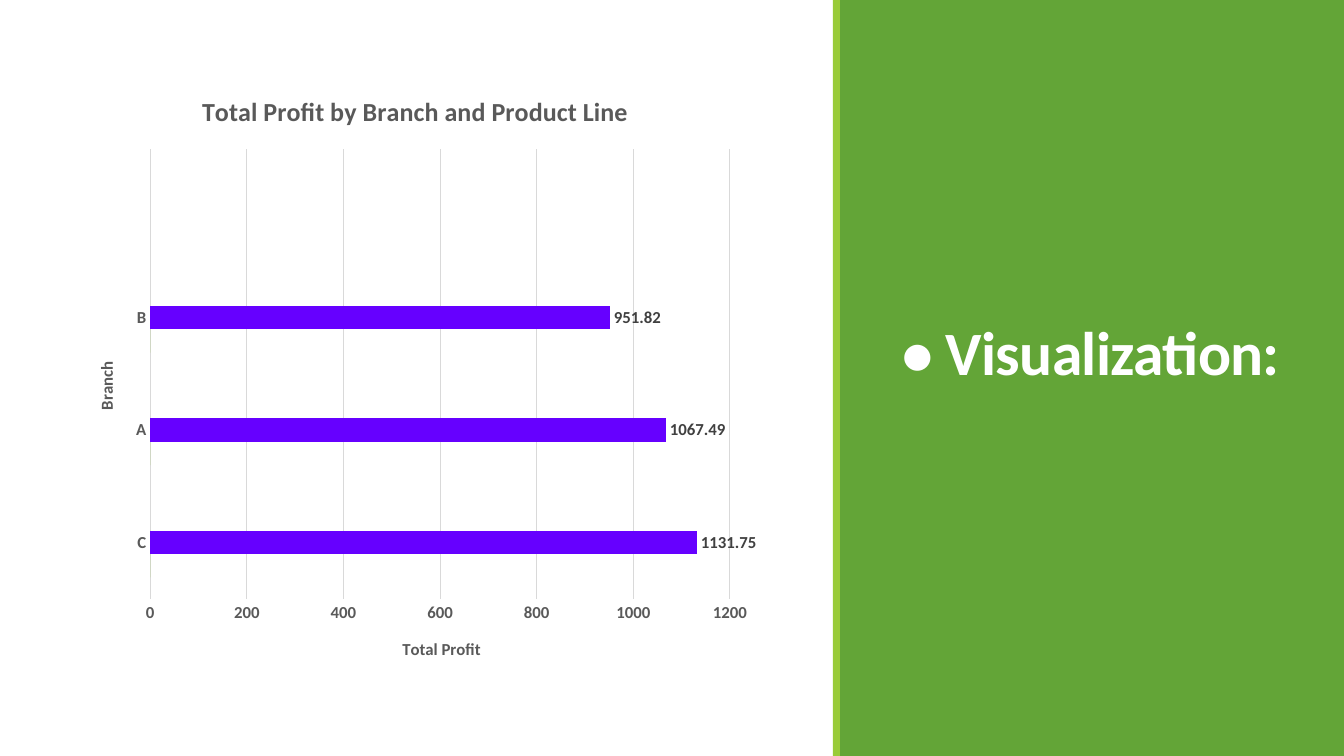
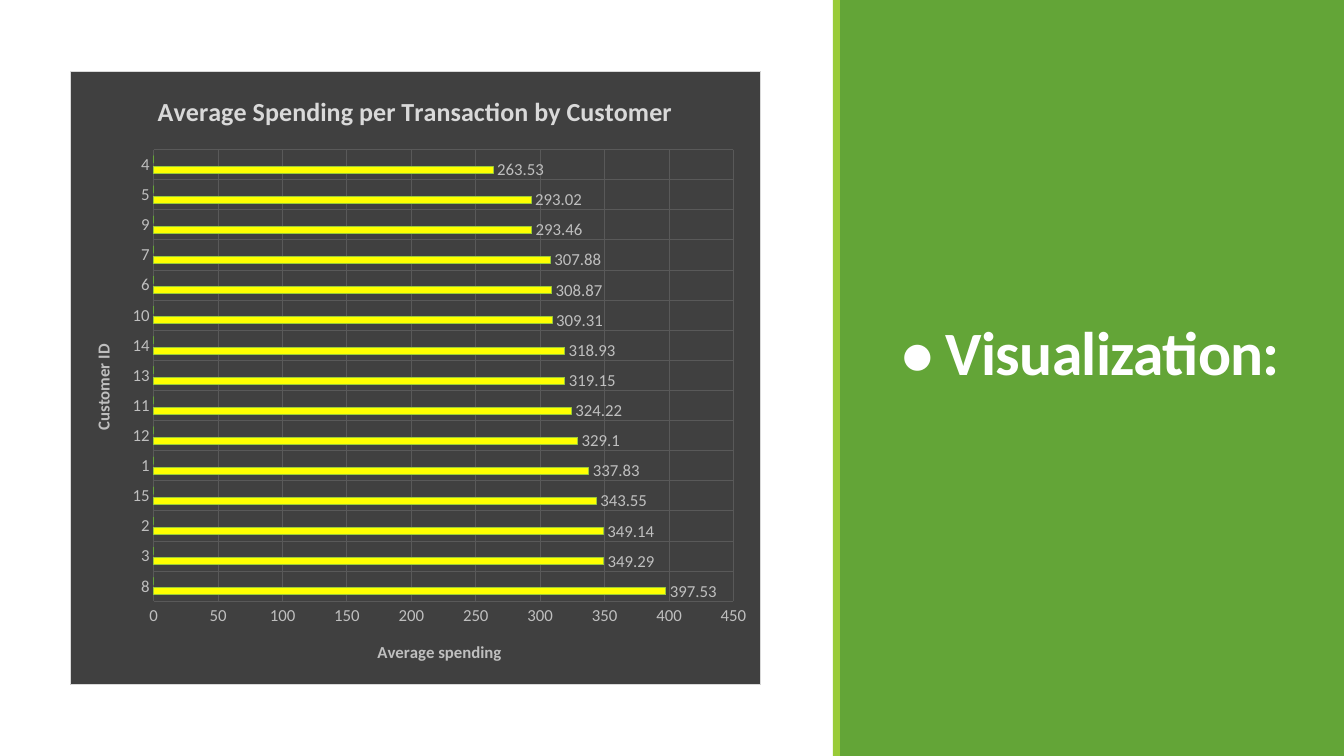
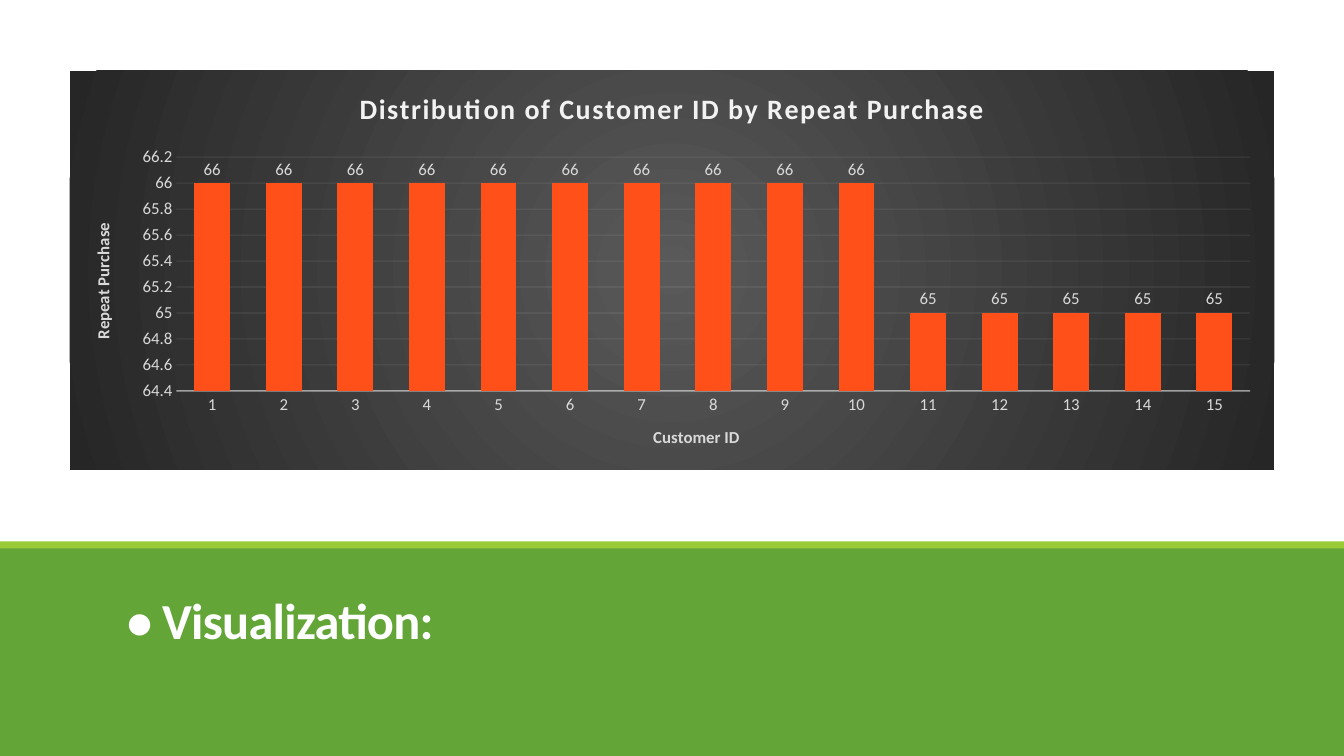
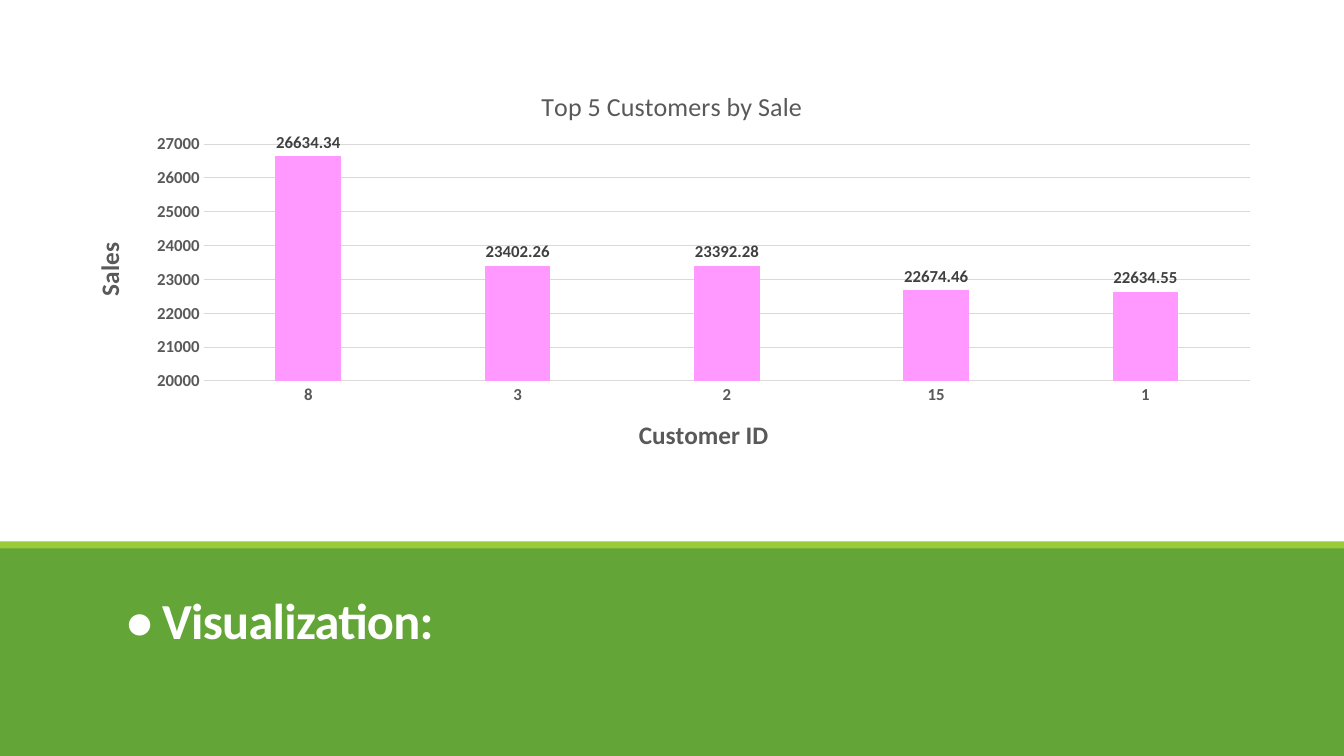
from dataclasses import dataclass

from lxml import etree
from pptx import Presentation
from pptx.chart.data import CategoryChartData
from pptx.dml.color import RGBColor
from pptx.enum import chart as chart_enum, shapes, text
from pptx.oxml import ns
from pptx.util import Inches, Pt


@dataclass(frozen=True)
class Theme:
    font: str = "Calibri"
    white: str = "FFFFFF"
    green: str = "63A537"
    lime: str = "99CB38"
    teal: str = "37A76F"
    violet: str = "6600FF"
    yellow: str = "FFFF00"
    orange: str = "FF5019"
    pink: str = "FF99FF"
    ink: str = "595959"
    dark_ink: str = "404040"
    pale: str = "D9D9D9"
    silver: str = "BFBFBF"
    mist: str = "F2F2F2"
    coal: str = "262626"
    chart_size: float = 10
    label_size: float = 12
    axis_title_size: float = 18
    chart_title_size: float = 18.6
    spaced_title_size: float = 20
    side_title_size: float = 44
    bottom_title_size: float = 36


THEME = Theme()


@dataclass(frozen=True)
class ChartLook:
    """Text and line style of one chart; colours are RRGGBB."""
    text: str = THEME.ink
    title: str = THEME.ink
    labels: str = THEME.dark_ink
    grid: str = THEME.pale
    grid_alpha: int = 100
    axis_line: str | None = THEME.pale
    axis_width: float = 0.75
    axis_alpha: int = 100
    category_grid: bool = False
    bold: bool = True
    title_bold: bool = True
    title_size: float = THEME.chart_title_size
    title_spacing: float = 0
    axis_title_size: float = THEME.label_size
    background: tuple = ()
    border: str | None = None


@dataclass(frozen=True)
class Arrangement:
    """Where panel, stripe, title and chart sit: left, top, width, height."""
    panel: tuple
    stripe: tuple
    title: tuple
    chart: tuple
    title_size: float


SIDE = Arrangement((8.33, 0, 5, 7.5), (8.26, 0, 0.07, 7.5), (8.85, 0.7, 4, 3.2),
                   (0.69, 0.7, 6.86, 6.1), THEME.side_title_size)
BOTTOM = Arrangement((0, 5.42, 13.33, 2.08), (0, 5.37, 13.33, 0.07), (1.16, 5.6, 11, 0.9),
                     (0.69, 0.7, 11.95, 3.96), THEME.bottom_title_size)


def rgb(colour):
    return RGBColor.from_string(colour)


def apply(target, **values):
    for name, value in values.items():
        setattr(target, name, value)


def child(parent, tag, **attributes):
    element = etree.SubElement(parent, ns.qn(tag))
    for name, value in attributes.items():
        element.set(name, str(value))
    return element


def colour_line(line, colour, width=0.75):
    if colour is None:
        line.fill.background()
    else:
        line.color.rgb = rgb(colour)
        line.width = Pt(width)


class Deck:
    def __init__(self, theme):
        self.theme = theme
        self.presentation = Presentation()
        apply(self.presentation, slide_width=Inches(13.33), slide_height=Inches(7.5))
        self.slide = None

    def style_font(self, font, size, colour, bold=False):
        apply(font, name=self.theme.font, size=Pt(size), bold=bold)
        font.color.rgb = rgb(colour)

    def start(self, arrangement, title):
        """Add a slide with its coloured panel, stripe and title."""
        self.slide = self.presentation.slides.add_slide(self.presentation.slide_layouts[5])
        self.band(arrangement.panel, self.theme.green)
        self.band(arrangement.stripe, self.theme.lime)
        self.title(arrangement.title, title, arrangement.title_size)

    def band(self, box, colour):
        shape = self.slide.shapes.add_shape(shapes.MSO_SHAPE.RECTANGLE, *map(Inches, box))
        shape.shadow.inherit = False
        shape.fill.solid()
        shape.fill.fore_color.rgb = rgb(colour)
        shape.line.fill.background()

    def title(self, box, words, size):
        shape = self.slide.shapes.title
        apply(shape, **dict(zip(("left", "top", "width", "height"), map(Inches, box))))
        # The title goes in front of the panel
        self.slide.shapes.element.append(shape.element)
        frame = shape.text_frame
        apply(frame, text=words, word_wrap=True, auto_size=text.MSO_AUTO_SIZE.NONE,
              vertical_anchor=text.MSO_ANCHOR.BOTTOM)
        paragraph = frame.paragraphs[0]
        apply(paragraph, alignment=text.PP_ALIGN.LEFT, line_spacing=0.85,
              space_before=Pt(0), space_after=Pt(6))
        self.style_font(paragraph.runs[0].font, size, self.theme.white, True)
        shape.element.find(".//" + ns.qn("a:rPr")).set("spc", "-50")

    def chart(self, kind, box, plot, title, axis_titles, scale, categories, series, look,
              gap, overlap=0):
        """Draw a bar chart; series holds (values, fill, line, labelled), scale (min, max, step)."""
        data = CategoryChartData()
        data.categories = categories
        for number, (values, *_) in enumerate(series, 1):
            data.add_series(f"Series {number}", values)
        chart = self.slide.shapes.add_chart(kind, *map(Inches, box), data).chart
        chart.has_legend = False
        self.style_font(chart.font, self.theme.chart_size, look.text)
        self.chart_title(chart, title, look)
        self.axes(chart, axis_titles, scale, look)
        bars = chart.plots[0]
        apply(bars, gap_width=gap, overlap=overlap, vary_by_categories=False)
        for drawn, (_, fill, line, labelled) in zip(bars.series, series):
            self.series(drawn, fill, line, labelled, look)
        self.place_plot(chart, box, plot)
        self.background(chart, look)

    def chart_title(self, chart, words, look):
        frame = chart.chart_title.text_frame
        frame.text = words
        self.style_font(frame.paragraphs[0].runs[0].font, look.title_size, look.title,
                        look.title_bold)
        chart.chart_title.include_in_layout = False
        if look.title_spacing:
            run = chart.element.find(".//" + ns.qn("a:r") + "/" + ns.qn("a:rPr"))
            run.set("spc", str(int(look.title_spacing * 100)))

    def axes(self, chart, titles, scale, look):
        minimum, maximum, step = scale
        apply(chart.value_axis, minimum_scale=minimum, maximum_scale=maximum, major_unit=step)
        category, value = chart.category_axis, chart.value_axis
        settings = ((category, look.axis_line, look.category_grid), (value, None, True))
        for (axis, line, grid), words in zip(settings, titles):
            apply(axis, has_major_gridlines=grid, has_title=True,
                  major_tick_mark=chart_enum.XL_TICK_MARK.NONE,
                  minor_tick_mark=chart_enum.XL_TICK_MARK.NONE)
            self.style_font(axis.tick_labels.font, self.theme.label_size, look.text, look.bold)
            colour_line(axis.format.line, line, look.axis_width)
            if grid:
                colour_line(axis.major_gridlines.format.line, look.grid)
            frame = axis.axis_title.text_frame
            frame.text = words
            self.style_font(frame.paragraphs[0].runs[0].font, look.axis_title_size, look.text,
                            True)
        for route, alpha in ((".//c:valAx/c:majorGridlines//a:srgbClr", look.grid_alpha),
                             (".//c:catAx/c:spPr//a:srgbClr", look.axis_alpha)):
            for colour in chart.element.xpath(route):
                if alpha < 100:
                    child(colour, "a:alpha", val=alpha * 1000)

    def series(self, series, fill, line, labelled, look):
        series.invert_if_negative = False
        if fill is None:
            series.format.fill.background()
        else:
            series.format.fill.solid()
            series.format.fill.fore_color.rgb = rgb(fill)
        colour_line(series.format.line, line)
        if labelled:
            labels = series.data_labels
            apply(labels, show_value=True,
                  position=chart_enum.XL_LABEL_POSITION.OUTSIDE_END)
            self.style_font(labels.font, self.theme.label_size, look.labels, look.bold)

    def place_plot(self, chart, box, plot):
        """Fix the inner plot area, given in slide inches."""
        area = chart.element.find(".//" + ns.qn("c:plotArea"))
        for old in area.findall(ns.qn("c:layout")):
            area.remove(old)
        layout = etree.Element(ns.qn("c:layout"))
        area.insert(0, layout)
        manual = child(layout, "c:manualLayout")
        child(manual, "c:layoutTarget", val="inner")
        for name in "xy":
            child(manual, f"c:{name}Mode", val="edge")
        left, top, width, height = box
        fractions = ((plot[0] - left) / width, (plot[1] - top) / height,
                     plot[2] / width, plot[3] / height)
        for name, fraction in zip("xywh", fractions):
            child(manual, f"c:{name}", val=round(fraction, 4))

    def background(self, chart, look):
        """Fill the chart with nothing, one colour or a round gradient."""
        properties = etree.Element(ns.qn("c:spPr"))
        chart.element.find(ns.qn("c:txPr")).addprevious(properties)
        if len(look.background) > 1:
            gradient = child(properties, "a:gradFill")
            stops = child(gradient, "a:gsLst")
            last = len(look.background) - 1
            for index, colour in enumerate(look.background):
                stop = child(stops, "a:gs", pos=100000 * index // last)
                child(stop, "a:srgbClr", val=colour)
            circle = child(gradient, "a:path", path="circle")
            child(circle, "a:fillToRect", l=50000, t=50000, r=50000, b=50000)
        elif look.background:
            child(child(properties, "a:solidFill"), "a:srgbClr", val=look.background[0])
        else:
            child(properties, "a:noFill")
        line = child(properties, "a:ln", w=int(Pt(0.75)))
        if look.border:
            child(child(line, "a:solidFill"), "a:srgbClr", val=look.border)
        else:
            child(line, "a:noFill")


def main():
    deck = Deck(THEME)
    bar = chart_enum.XL_CHART_TYPE.BAR_CLUSTERED
    column = chart_enum.XL_CHART_TYPE.COLUMN_CLUSTERED
    heading = "• Visualization:"

    deck.start(SIDE, heading)
    deck.chart(bar, SIDE.chart, (1.49, 1.48, 5.75, 4.46),
               "Total Profit by Branch and Product Line", ("Branch", "Total Profit"),
               (0, 1200, 200), ["C", "A", "B", ""],
               [([0, 0, 0, None], THEME.lime, None, False),
                ([1131.75, 1067.49, 951.82, None], THEME.violet, None, True),
                ([None] * 4, THEME.teal, None, True)],
               ChartLook(), gap=182)

    deck.start(SIDE, heading)
    spending = {8: 397.53, 3: 349.29, 2: 349.14, 15: 343.55, 1: 337.83, 12: 329.1,
                11: 324.22, 13: 319.15, 14: 318.93, 10: 309.31, 6: 308.87, 7: 307.88,
                9: 293.46, 5: 293.02, 4: 263.53}
    deck.chart(bar, SIDE.chart, (1.52, 1.48, 5.76, 4.49),
               "Average Spending per Transaction by Customer",
               ("Customer ID", "Average spending"), (0, 450, 50), map(str, spending),
               [(spending.values(), THEME.yellow, THEME.lime, True),
                ([0] * len(spending), None, THEME.green, False)],
               ChartLook(text=THEME.silver, title=THEME.pale, labels=THEME.silver,
                         grid=THEME.ink, axis_line=None, category_grid=True, bold=False,
                         background=(THEME.dark_ink,), border=THEME.pale),
               gap=182, overlap=-50)

    deck.start(BOTTOM, heading)
    deck.chart(column, BOTTOM.chart, (1.75, 1.56, 10.65, 2.32),
               "Distribution of Customer ID by Repeat Purchase",
               ("Customer ID", "Repeat Purchase"), (64.4, 66.2, 0.2),
               [str(number) for number in range(1, 16)],
               [([66] * 10 + [65] * 5, THEME.orange, None, True)],
               ChartLook(text=THEME.pale, title=THEME.mist, labels=THEME.pale,
                         grid=THEME.mist, grid_alpha=10, axis_line=THEME.mist, axis_width=1,
                         axis_alpha=54, bold=False, title_size=THEME.spaced_title_size,
                         title_spacing=1, background=(THEME.ink, THEME.coal)),
               gap=100, overlap=-24)

    deck.start(BOTTOM, heading)
    sales = {8: 26634.34, 3: 23402.26, 2: 23392.28, 15: 22674.46, 1: 22634.55}
    deck.chart(column, BOTTOM.chart, (2.02, 1.43, 10.38, 2.35),
               "Top 5 Customers by Sale", ("Customer ID", "Sales"), (20000, 27000, 1000),
               map(str, sales), [(sales.values(), THEME.pink, None, True)],
               ChartLook(title_bold=False, axis_title_size=THEME.axis_title_size),
               gap=219, overlap=-27)

    deck.presentation.save("out.pptx")


if __name__ == "__main__":
    main()
